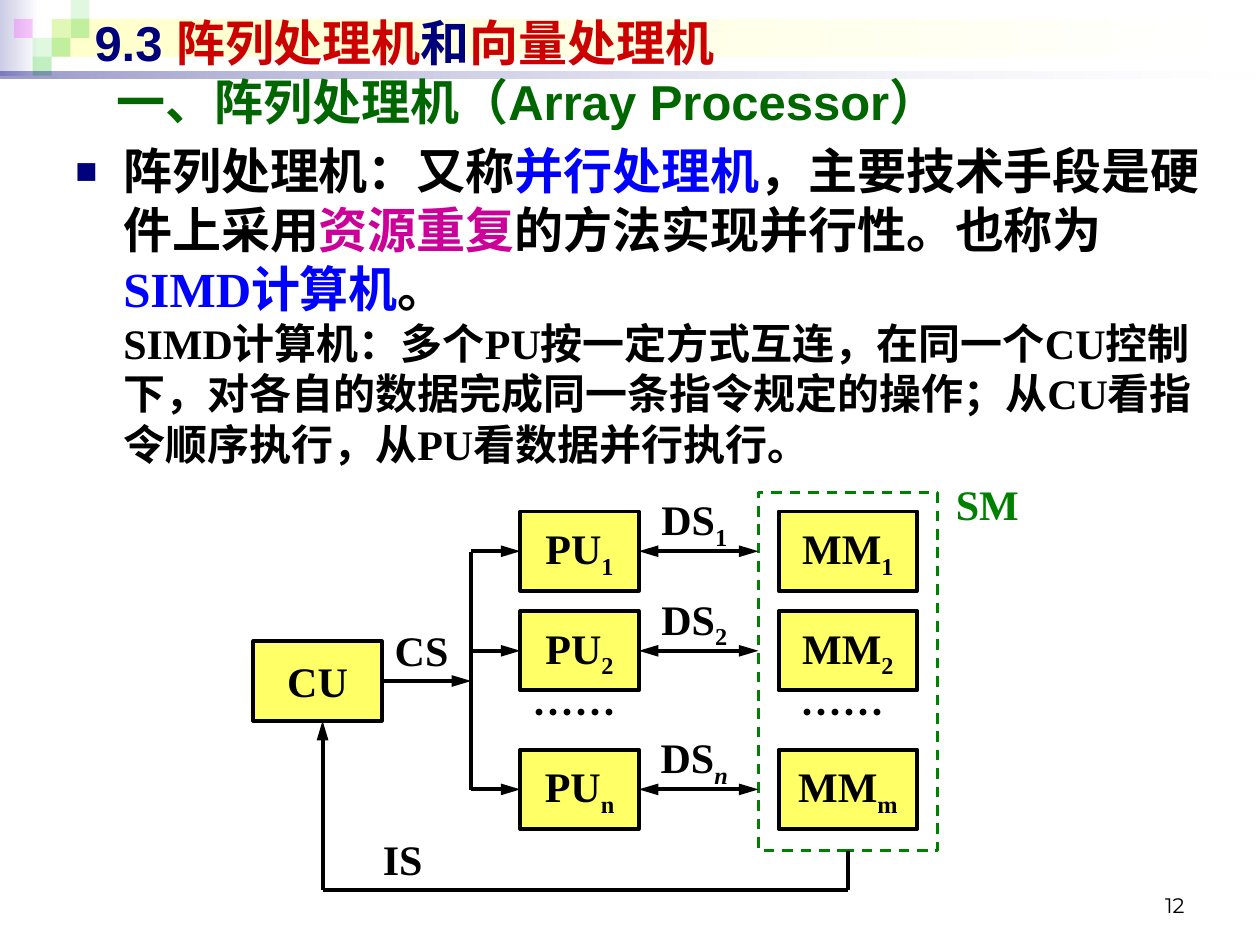
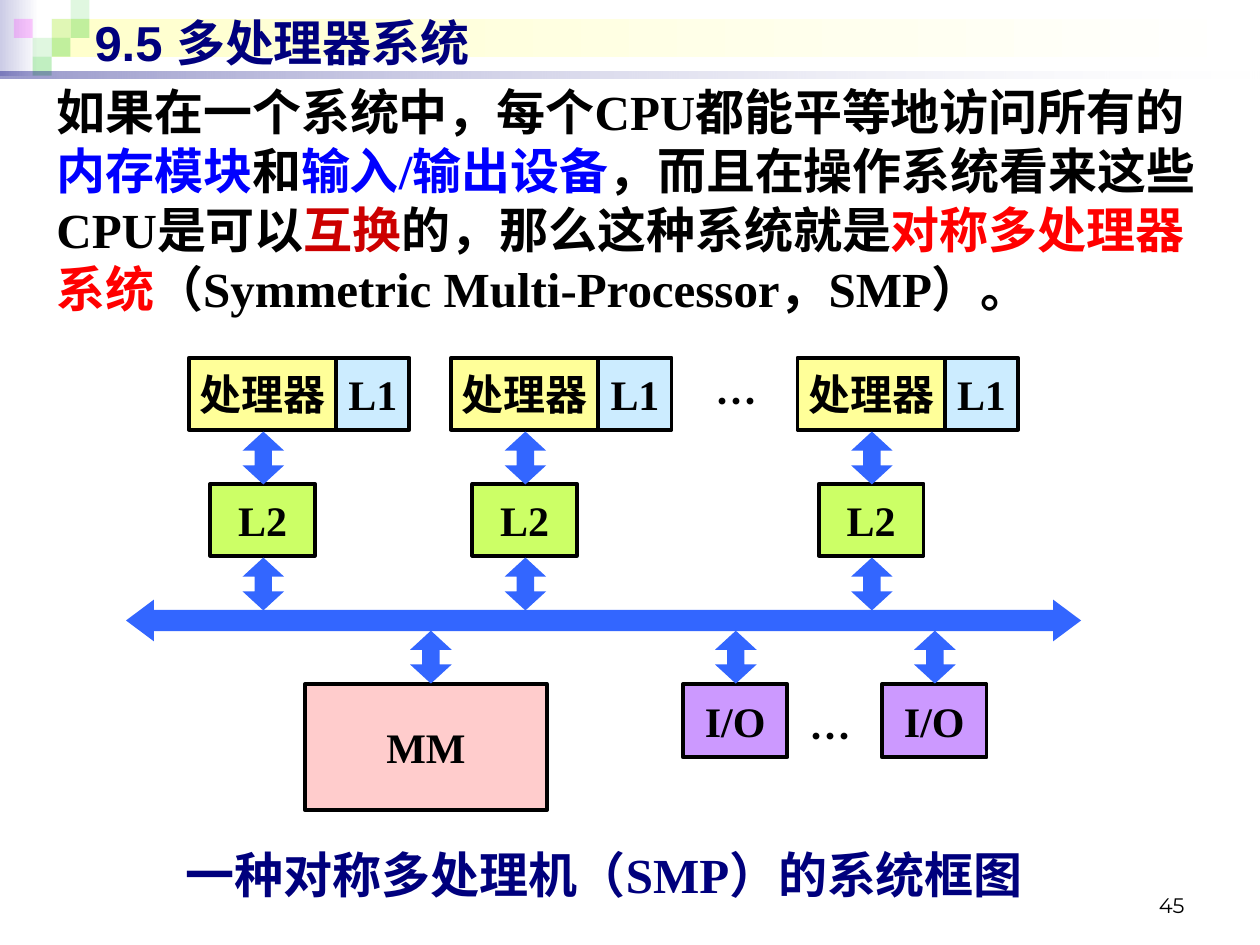
import pptx
import pptx.util
import pptx.dml.color
import pptx.enum.dml
import pptx.enum.shapes
import pptx.enum.text
import pptx.oxml
import pptx.oxml.ns
from lxml import etree

Inches = pptx.util.Inches
Pt = pptx.util.Pt
qn = pptx.oxml.ns.qn
SHAPE = pptx.enum.shapes.MSO_SHAPE
ANCHOR = pptx.enum.text.MSO_ANCHOR
ALIGN = pptx.enum.text.PP_ALIGN

COLORS = {
    "ink": "000000", "navy": "00007D", "white": "FFFFFF",
    "lavender": "CCCCE6", "cream": "FFFFCC", "green": "33CC33", "magenta": "FF00FF",
    "crimson": "CC0000", "red": "FF0000", "blue": "0000FF", "pink": "CC0099",
    "heading": "006600", "memory": "008000", "unit": "FFFF66",
    "processor": "FFFF99", "l1": "CCECFF", "l2": "CCFF66",
    "main_memory": "FFCCCC", "io": "CC99FF", "bus": "3366FF",
}
SERIF, SANS, CJK, NUMBER = "Times New Roman", "Arial", "Noto Sans CJK SC", "Montserrat"

# left, top, colour, opacity of the mosaic squares in the corner
MOSAIC = [
    (0.41, 0.15, "green", 15), (0.56, 0, "green", 15), (0.56, 0.15, "green", 30),
    (0.26, 0.3, "green", 15), (0.11, 0.15, "magenta", 20),
    (0.41, 0.3, "green", 30), (0.26, 0.45, "green", 30),
]
UNIT_HEIGHT = 0.63


def rgb(color):
    return pptx.dml.color.RGBColor.from_string(COLORS[color])


def write(frame, runs, size=24, font=SERIF, color="ink", bold=True, align=ALIGN.LEFT):
    """Fill the first paragraph with runs: a string, or (text, overrides) pairs."""
    paragraph = frame.paragraphs[0]
    paragraph.alignment = align
    for text, style in [(runs, {})] if isinstance(runs, str) else runs:
        if text == "\n":
            paragraph.add_line_break()
            continue
        run = paragraph.add_run()
        run.text = text
        run.font.size = Pt(style.get("size", size))
        run.font.name = font
        run.font.bold = bold
        run.font.color.rgb = rgb(style.get("color", color))
        properties = run._r.get_or_add_rPr()
        etree.SubElement(properties, qn("a:ea")).set("typeface", CJK)
        if style.get("italic"):
            run.font.italic = True
        if style.get("subscript"):
            properties.set("baseline", "-25000")


def colored(*parts):
    """Turn (text, colour) pairs into runs."""
    return [(text, {"color": color}) for text, color in parts]


def indexed(name, index, italic=False):
    """Runs for a name with a subscript."""
    return [(name, {}), (index, {"subscript": True, "italic": italic})]


def add_block(slide, box, fill=None, kind=SHAPE.RECTANGLE):
    block = slide.shapes.add_shape(kind, *map(Inches, box))
    block.shadow.inherit = False
    block.line.fill.background()
    if fill:
        block.fill.solid()
        block.fill.fore_color.rgb = rgb(fill)
    else:
        block.fill.background()
    return block


def set_opacity(block, *percents):
    """Set the opacity of each colour of the fill in turn."""
    for node, percent in zip(block.element.spPr.iter(qn("a:srgbClr")), percents):
        etree.SubElement(node, qn("a:alpha")).set("val", str(percent * 1000))


def add_fade(slide, box, start, end="white"):
    band = add_block(slide, box)
    band.fill.gradient()
    band.fill.gradient_angle = 0
    for stop, color, position in zip(band.fill.gradient_stops, (start, end), (0, 1)):
        stop.color.rgb = rgb(color)
        stop.position = position
    return band


def add_box(slide, box, runs, fill):
    part = add_block(slide, box, fill)
    part.line.color.rgb = rgb("ink")
    part.line.width = Pt(2.25)
    part.text_frame.word_wrap = False
    part.text_frame.vertical_anchor = ANCHOR.MIDDLE
    write(part.text_frame, runs, align=ALIGN.CENTER)
    return part


def add_text(slide, box, runs, anchor=ANCHOR.MIDDLE, **style):
    frame = slide.shapes.add_textbox(*map(Inches, box)).text_frame
    frame.word_wrap = True
    frame.vertical_anchor = anchor
    write(frame, runs, **style)
    return frame


def add_label(slide, left, top, width, runs, **style):
    add_text(slide, (left, top, width, 0.5), runs, anchor=ANCHOR.TOP,
             align=ALIGN.CENTER, **style)


def add_body(slide, box, runs):
    return add_text(slide, box, runs, anchor=ANCHOR.TOP, size=28).paragraphs[0]


def add_bullet(paragraph):
    properties = paragraph._p.get_or_add_pPr()
    properties.set("marL", str(Inches(0.38)))
    properties.set("indent", str(-Inches(0.38)))
    color = etree.SubElement(properties, qn("a:buClr"))
    etree.SubElement(color, qn("a:srgbClr")).set("val", COLORS["navy"])
    for tag, name, value in (("a:buSzPct", "val", "75000"),
                             ("a:buFont", "typeface", SANS), ("a:buChar", "char", "■")):
        etree.SubElement(properties, qn(tag)).set(name, value)


def add_line(slide, start, end, head=False, tail=False, source=None, target=None):
    """Draw a line; source and target are (box, side) pairs to join."""
    line = slide.shapes.add_connector(pptx.enum.shapes.MSO_CONNECTOR.STRAIGHT,
                                      *map(Inches, start + end))
    if source:
        line.begin_connect(*source)
    if target:
        line.end_connect(*target)
    line.line.color.rgb = rgb("ink")
    line.line.width = Pt(2.25)
    for tag, wanted in (("a:headEnd", head), ("a:tailEnd", tail)):
        if wanted:
            tip = etree.SubElement(line.line._get_or_add_ln(), qn(tag))
            tip.set("type", "triangle")
            tip.set("w", "med")
            tip.set("len", "lg")
    etree.SubElement(line.element.spPr, qn("a:effectLst"))


def add_double_arrow(slide, box, shaft, tip, rotation=0):
    arrow = add_block(slide, box, "bus", SHAPE.LEFT_RIGHT_ARROW)
    arrow.adjustments[0] = shaft
    arrow.adjustments[1] = tip
    arrow.rotation = rotation


def add_link(slide, left, top):
    """Upright double arrow between two levels."""
    add_double_arrow(slide, (left, top, 0.42, 0.33), 0.42, 0.46, 270)


def start_slide(deck, title_runs, number):
    """Add a slide with the shared bands, title and page number."""
    slide = deck.slides.add_slide(deck.slide_layouts[5])
    add_fade(slide, (0, 0, 0.31, 0.6), "lavender")
    add_fade(slide, (0.41, 0.15, 9.55, 0.3), "cream")
    for left, top, color, opacity in MOSAIC:
        set_opacity(add_block(slide, (left, top, 0.15, 0.15), color), opacity)
    set_opacity(add_fade(slide, (0, 0.57, 10, 0.05), "navy"), 40, 10)

    title = slide.shapes.title
    slide.shapes.element.append(title.element)  # above the bands
    title.left, title.top, title.width, title.height = map(Inches, (0.65, 0.05, 9, 0.57))
    title.text_frame.auto_size = pptx.enum.text.MSO_AUTO_SIZE.NONE
    title.text_frame.vertical_anchor = ANCHOR.MIDDLE
    write(title.text_frame, title_runs, size=28, font=SANS, color="navy")
    add_text(slide, (7.17, 6.83, 2.33, 0.5), number, anchor=ANCHOR.BOTTOM,
             size=12, font=NUMBER, bold=False, align=ALIGN.RIGHT)
    return slide


def build_array_processor(deck):
    slide = start_slide(deck, colored(
        ("9.3 ", "navy"), ("阵列处理机", "crimson"), ("和", "navy"),
        ("向量处理机", "crimson")), "12")
    add_text(slide, (0.83, 0.52, 8.84, 0.57), "一、阵列处理机（Array Processor）",
             size=28, font=SANS, color="heading")
    definition = colored(
        ("阵列处理机：又称", "ink"), ("并行处理机", "blue"),
        ("，主要技术手段是硬件上采用", "ink"), ("资源重复", "pink"),
        ("的方法实现并行性。也称为", "ink"), ("SIMD计算机", "blue"), ("。", "ink"))
    explanation = ("SIMD计算机：多个PU按一定方式互连，在同一个CU控制下，对各自的数据完成"
                   "同一条指令规定的操作；从CU看指令顺序执行，从PU看数据并行执行。")
    add_bullet(add_body(slide, (0.5, 1.07, 9.15, 2.76),
                        definition + [("\n", {}), (explanation, {"size": 24})]))

    bus_x, memory_x, return_x, return_y = 3.74, 6.02, 2.56, 7.06
    control_top = 5.09
    control_y = control_top + UNIT_HEIGHT / 2
    control = add_box(slide, (2.01, control_top, 1.02, UNIT_HEIGHT), "CU", "unit")
    shared_memory = add_block(slide, (memory_x, 3.91, 1.42, 2.84))
    shared_memory.line.color.rgb = rgb("memory")
    shared_memory.line.width = Pt(1.5)
    shared_memory.line.dash_style = pptx.enum.dml.MSO_LINE.DASH

    rows = [(4.06, "1", "1"), (4.85, "2", "2"), (5.95, "n", "m")]
    for top, index, memory_index in rows:
        middle = top + UNIT_HEIGHT / 2
        unit = add_box(slide, (4.13, top, 0.94, UNIT_HEIGHT), indexed("PU", index), "unit")
        add_box(slide, (6.18, top, 1.1, UNIT_HEIGHT), indexed("MM", memory_index), "unit")
        add_label(slide, 5, top - 0.19, 1.02, indexed("DS", index, index == "n"))
        add_line(slide, (bus_x, middle), (4.13, middle), tail=True, target=(unit, 1))
        add_line(slide, (5.07, middle), (memory_x, middle), head=True, tail=True,
                 source=(unit, 3))
    for left in (4.05, 6.18):
        add_label(slide, left, 5.4, 1.02, "……", font=CJK)

    add_line(slide, (bus_x, 4.38), (bus_x, 6.27))
    add_line(slide, (3.03, control_y), (bus_x, control_y), tail=True, source=(control, 3))
    add_line(slide, (6.73, 6.75), (6.73, return_y), source=(shared_memory, 2))
    add_line(slide, (6.73, return_y), (return_x, return_y))
    add_line(slide, (return_x, return_y), (return_x, 5.72), tail=True)
    add_label(slide, 2.95, 4.91, 0.79, "CS")
    add_label(slide, 2.8, 6.57, 0.79, "IS")
    add_label(slide, 7.44, 3.75, 0.79, "SM", color="memory")


def build_multiprocessor(deck):
    slide = start_slide(deck, "9.5 多处理器系统", "45")
    add_body(slide, (0.35, 0.6, 9.37, 2.05), colored(
        ("如果在一个系统中，每个CPU都能平等地访问所有的", "ink"), ("内存模块", "blue"),
        ("和", "ink"), ("输入/输出设备", "blue"),
        ("，而且在操作系统看来这些CPU是可以", "ink"), ("互换", "crimson"),
        ("的，那么这种系统就是", "ink"), ("对称多处理器系统", "red"),
        ("（Symmetric Multi-Processor，SMP）。", "ink")))

    add_double_arrow(slide, (1, 4.76, 7.58, 0.33), 0.51, 0.67)
    for left in (1.5, 3.58, 6.33):
        add_box(slide, (left, 2.84, 1.17, 0.57), "处理器", "processor")
        add_box(slide, (left + 1.17, 2.84, 0.58, 0.57), "L1", "l1")
        add_box(slide, (left + 0.17, 3.84, 0.83, 0.57), "L2", "l2")
        for top in (3.47, 4.47):
            add_link(slide, left + 0.38, top)

    add_box(slide, (2.42, 5.43, 1.92, 1), "MM", "main_memory")
    add_link(slide, 3.21, 5.05)
    for left in (5.42, 7):
        add_box(slide, (left, 5.43, 0.83, 0.58), "I/O", "io")
        add_link(slide, left + 0.21, 5.05)
    for left, top in ((5.58, 2.93), (6.33, 5.59)):
        add_label(slide, left, top, 0.52, "…", font=CJK)
    add_text(slide, (0.92, 6.65, 7.75, 0.57), "一种对称多处理机（SMP）的系统框图",
             size=28, color="navy", align=ALIGN.CENTER)


def main():
    deck = pptx.Presentation()
    deck.slide_width, deck.slide_height = Inches(10), Inches(7.5)
    build_array_processor(deck)
    build_multiprocessor(deck)
    deck.save("out.pptx")


if __name__ == "__main__":
    main()
